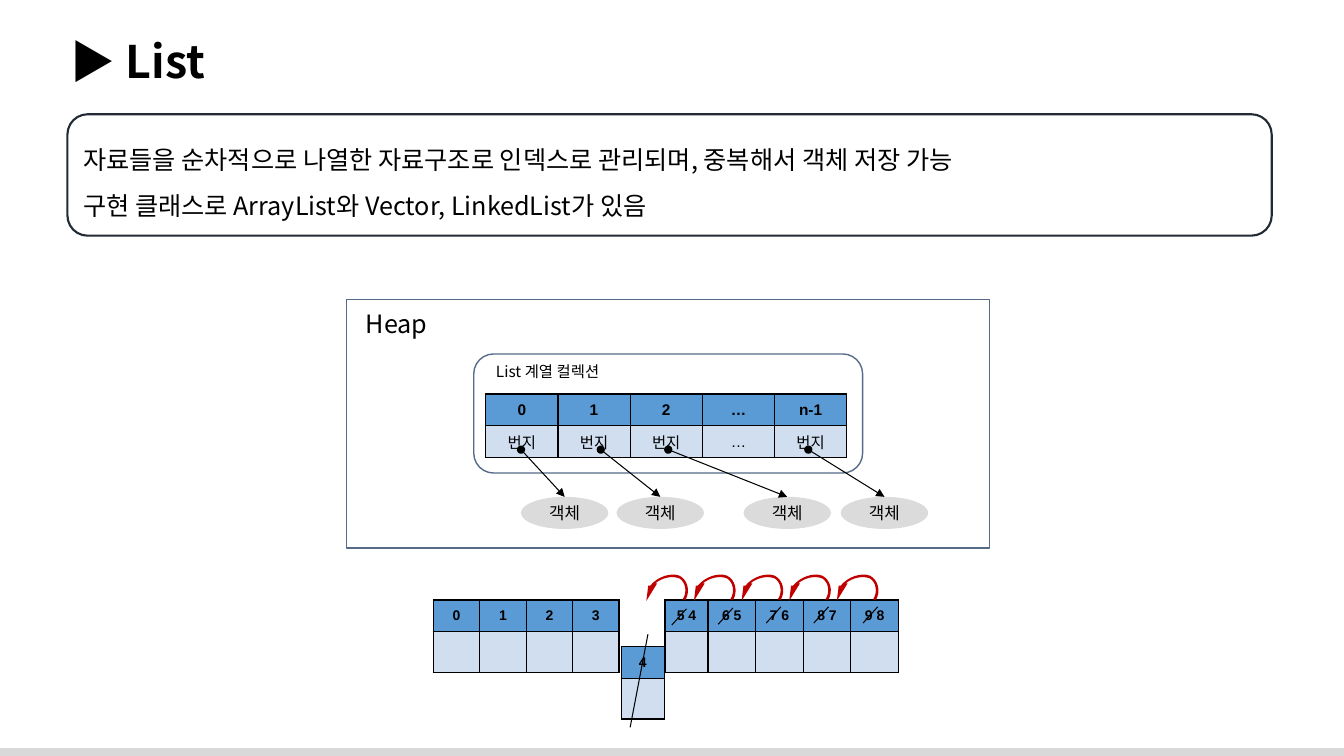
"""Build a slide that explains the List collection with heap and index diagrams."""
from lxml import etree
from pptx import Presentation
from pptx.dml.color import RGBColor
from pptx.enum.shapes import MSO_CONNECTOR, MSO_SHAPE
from pptx.enum.text import MSO_ANCHOR, MSO_AUTO_SIZE, PP_ALIGN
from pptx.oxml.ns import qn
from pptx.util import Cm, Pt

RECTANGLE, ROUNDED, OVAL = MSO_SHAPE.RECTANGLE, MSO_SHAPE.ROUNDED_RECTANGLE, MSO_SHAPE.OVAL
STRAIGHT = MSO_CONNECTOR.STRAIGHT
FIT_SHAPE = MSO_AUTO_SIZE.SHAPE_TO_FIT_TEXT
MIDDLE, CENTER, LEFT = MSO_ANCHOR.MIDDLE, PP_ALIGN.CENTER, PP_ALIGN.LEFT
KOREAN, LATIN = "Noto Sans CJK KR", "Arial"


def color(hex_string):
    """Return the colour for a hex string."""
    return RGBColor.from_string(hex_string)


def write(frame, lines, size, name=KOREAN, bold=False, align=LEFT, spacing=None):
    """Fill a text frame with styled paragraphs."""
    for index, line in enumerate(lines):
        para = frame.add_paragraph() if index else frame.paragraphs[0]
        para.text = line
        para.alignment = align
        para.line_spacing = spacing
        font = para.font
        font.size, font.bold, font.name = Pt(size), bold, name
        font.color.rgb = color("000000")
        etree.SubElement(font._rPr, qn("a:ea")).set("typeface", KOREAN)


deck = Presentation()
deck.slide_width, deck.slide_height = Cm(33.87), Cm(19.05)
page = deck.slides.add_slide(deck.slide_layouts[6])
shapes = page.shapes

panels = []
for kind, left, top, width, height, fill, line, weight in [
    (RECTANGLE, 0, 18.85, 33.87, 0.2, "D9D9D9", None, 0),
    (ROUNDED, 1.7, 2.88, 30.35, 3.06, None, "222A35", 1.5),
    (RECTANGLE, 8.74, 7.55, 16.2, 6.26, None, "566B88", 1),
    (ROUNDED, 11.94, 8.92, 9.8, 3, None, "566B88", 1),
]:
    panel = shapes.add_shape(kind, Cm(left), Cm(top), Cm(width), Cm(height))
    panel.shadow.inherit = False
    if fill:
        panel.fill.solid()
        panel.fill.fore_color.rgb = color(fill)
    else:
        panel.fill.background()
    if line:
        panel.line.color.rgb = color(line)
        panel.line.width = Pt(weight)
    else:
        panel.line.fill.background()
    panels.append(panel)

summary = panels[1].text_frame
summary.vertical_anchor = MIDDLE
write(summary, ["자료들을 순차적으로 나열한 자료구조로 인덱스로 관리되며, 중복해서 객체 저장 가능",
                "구현 클래스로 ArrayList와 Vector, LinkedList가 있음"], 18, spacing=1.5)

for label, left, top, width, height, size, bold in [
    ("▶ List", 1.53, 0.73, 32, 1.63, 32, True),
    ("Heap", 8.97, 7.65, 2.1, 1.02, 18, False),
    ("List 계열 컬렉션", 12.25, 8.99, 3.4, 0.74, 11, False),
]:
    box = shapes.add_textbox(Cm(left), Cm(top), Cm(width), Cm(height))
    box.text_frame.word_wrap = True
    box.text_frame.auto_size = FIT_SHAPE
    write(box.text_frame, [label], size, bold=bold)

addresses = ["번지", "번지", "번지", "…", "번지"]
for left, top, widths, body_height, size, heads, bodies in [
    (12.24, 9.93, [1.82] * 5, 0.8, 11, ["0", "1", "2", "…", "n-1"], addresses),
    (10.92, 15.12, [1.17] * 4, 1.02, 10, ["0", "1", "2", "3"], [""] * 4),
    (16.76, 15.12, [1.08] + [1.2] * 4, 1.02, 10, ["5 4", "6 5", "7 6", "8 7", "9 8"], [""] * 5),
    (15.66, 16.3, [1.08], 1.02, 10, ["4"], [""]),
]:
    table = shapes.add_table(2, len(widths), Cm(left), Cm(top), Cm(sum(widths)),
                             Cm(0.8 + body_height)).table
    for column, width in zip(table.columns, widths):
        column.width = Cm(width)
    rows = [(heads, 0.8, "5B9BD5", True), (bodies, body_height, "D0DEEF", False)]
    for row, (labels, height, fill, bold) in zip(table.rows, rows):
        row.height = Cm(height)
        for cell, label in zip(row.cells, labels):
            cell.vertical_anchor = MIDDLE
            if label:
                write(cell.text_frame, [label], size, LATIN, bold, CENTER)
            for side in ("a:lnL", "a:lnR", "a:lnT", "a:lnB"):
                border = etree.SubElement(cell._tc.get_or_add_tcPr(), qn(side), w=str(Pt(1)))
                paint = etree.SubElement(border, qn("a:solidFill"))
                etree.SubElement(paint, qn("a:srgbClr"), val="000000")
            cell.fill.solid()
            cell.fill.fore_color.rgb = color(fill)

pointers = []
for start, left in [(13.13, 13.13), (15.14, 15.54), (16.84, 18.74), (20.37, 21.19)]:
    target = shapes.add_shape(OVAL, Cm(left), Cm(12.52), Cm(2.2), Cm(0.81))
    target.shadow.inherit = False
    target.fill.solid()
    target.fill.fore_color.rgb = color("DBDBDB")
    target.line.fill.background()
    target.text_frame.vertical_anchor = MIDDLE
    write(target.text_frame, ["객체"], 12, align=CENTER)
    pointer = shapes.add_connector(STRAIGHT, Cm(start), Cm(11.33), Cm(left + 1.1), Cm(12.52))
    pointer.end_connect(target, 0)
    pointers.append(pointer)

strikes = [shapes.add_connector(STRAIGHT, Cm(16.33), Cm(15.98), Cm(15.88), Cm(18.33))]
for x, y in [(17.3, 15.34), (18.47, 15.32), (19.68, 15.29), (20.88, 15.29), (22.12, 15.29)]:
    strikes.append(shapes.add_connector(STRAIGHT, Cm(x), Cm(y), Cm(x - 0.37), Cm(y + 0.41)))

for connector in pointers + strikes:
    connector.line.color.rgb = color("000000")
    connector.line.width = Pt(0.75)
    etree.SubElement(connector._element.spPr, qn("a:effectLst"))
for pointer in pointers:
    outline = pointer.line._get_or_add_ln()
    etree.SubElement(outline, qn("a:headEnd"), type="oval")
    etree.SubElement(outline, qn("a:tailEnd"), type="triangle")

arrow_width, arrow_height = 1.09, 1.35
curved_arrow = [
    ("a:moveTo", [(0.94, 0.38)]),
    ("a:cubicBezTo", [(0.83, 0.14), (0.56, 0.04), (0.36, 0.14)]),
    ("a:cubicBezTo", [(0.16, 0.27), (0.05, 0.6), (0.12, 0.88)]),
    ("a:lnTo", [(0.09, 0.92)]),
    ("a:lnTo", [(0.37, 1.19)]),
    ("a:lnTo", [(0.18, 0.71)]),
    ("a:lnTo", [(0.15, 0.75)]),
    ("a:cubicBezTo", [(0.14, 0.51), (0.25, 0.28), (0.42, 0.18)]),
    ("a:cubicBezTo", [(0.59, 0.12), (0.81, 0.22), (0.89, 0.44)]),
    ("a:close", []),
]
for step in range(5):
    left, top = 16.26 + 1.2 * step, 14.3
    right, bottom = left + arrow_width, top + arrow_height
    builder = shapes.build_freeform(Cm(left), Cm(top))
    builder.add_line_segments([(Cm(right), Cm(top)), (Cm(right), Cm(bottom)),
                               (Cm(left), Cm(bottom))])
    shift_arrow = builder.convert_to_shape()
    contour = next(shift_arrow._element.iter(qn("a:path")))
    for segment in list(contour):
        contour.remove(segment)
    for command, points in curved_arrow:
        segment = etree.SubElement(contour, qn(command))
        for x, y in points:
            etree.SubElement(segment, qn("a:pt"), x=str(Cm(x)), y=str(Cm(y)))
    shift_arrow.rotation = 53.1
    shift_arrow.shadow.inherit = False
    shift_arrow.fill.solid()
    shift_arrow.fill.fore_color.rgb = color("C00000")
    shift_arrow.line.fill.background()

deck.save("out.pptx")
